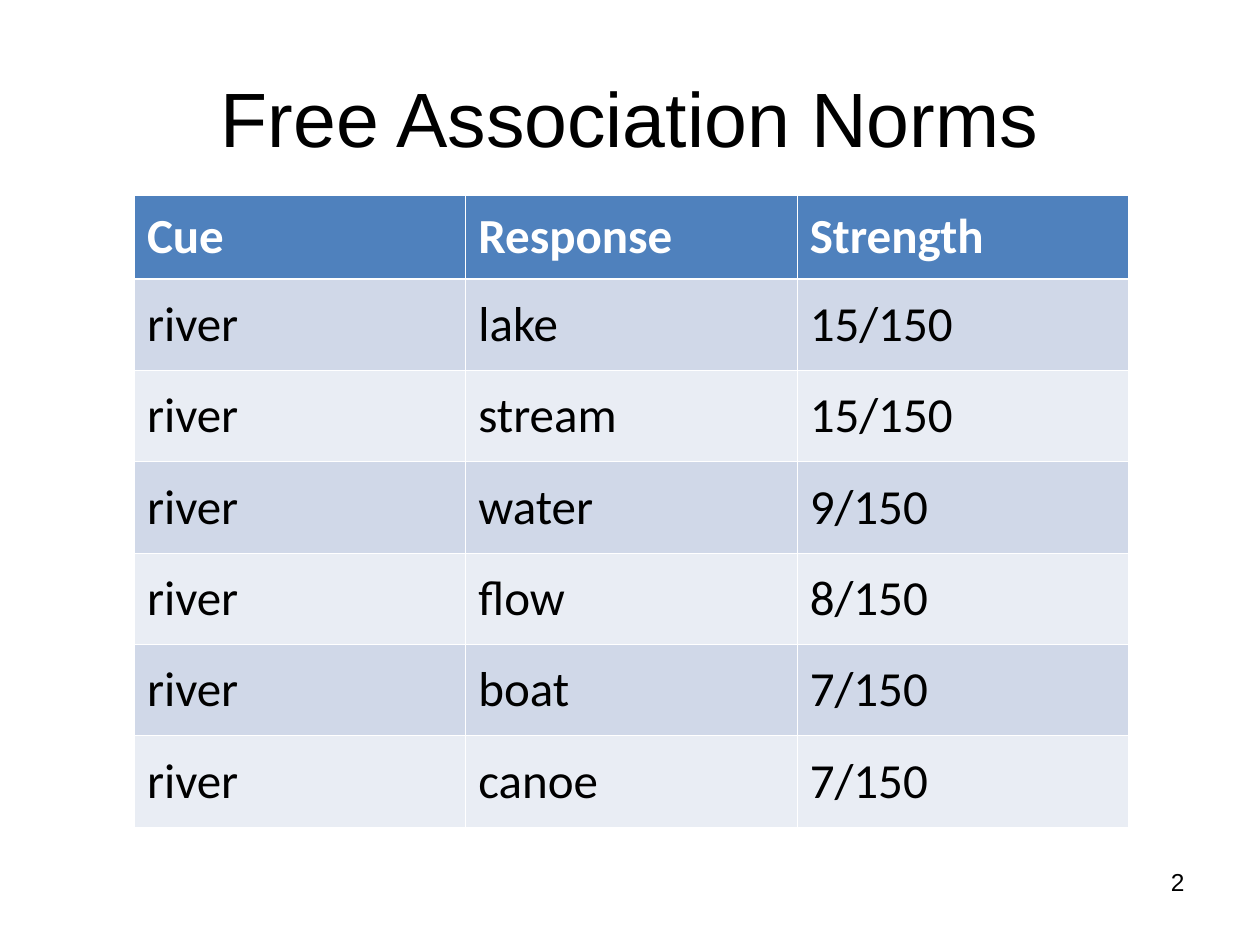
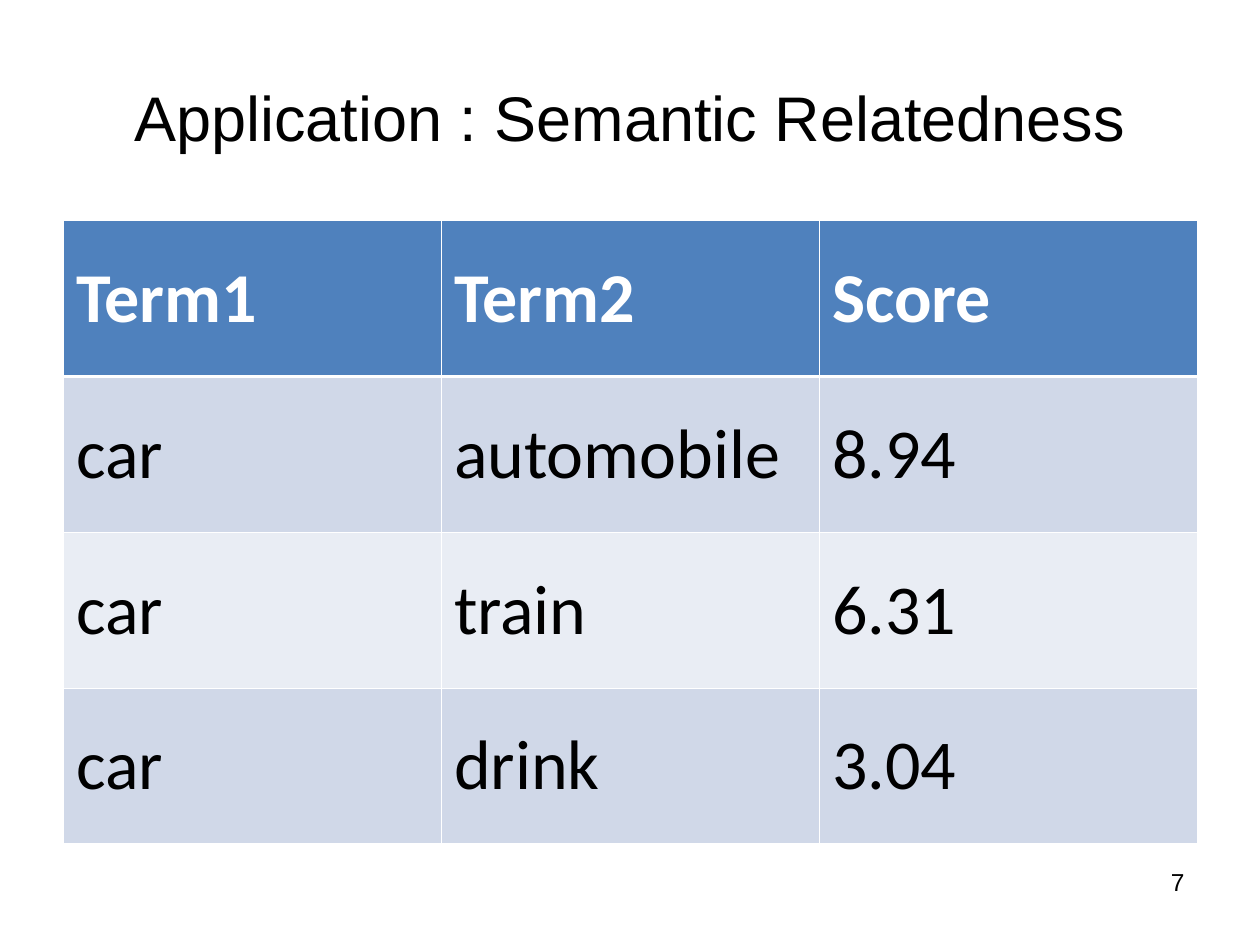
"""Build two slides, each with a title, a banded table and a page number."""
from lxml.etree import SubElement
from pptx import Presentation
from pptx.dml.color import RGBColor
from pptx.enum.text import MSO_ANCHOR, PP_ALIGN
from pptx.oxml.ns import qn
from pptx.util import Cm, Pt

BLACK, WHITE, HEAD = "000000", "FFFFFF", "4F81BD"
BANDS = ["D0D8E8", "E9EDF4"]
THIN, THICK = Pt(0.45), Pt(1.47)


def tint(code):
    return RGBColor.from_string(code)


def write(frame, text, size, font="Arial", color=BLACK, bold=False,
          align=PP_ALIGN.LEFT, before=0):
    frame.word_wrap = True
    para = frame.paragraphs[0]
    para.alignment = align
    para.space_before = Pt(before)
    run = para.add_run()
    run.text = text
    run.font.name = font
    run.font.size = Pt(size)
    run.font.bold = bold
    run.font.color.rgb = tint(color)


pages = [
    dict(
        title="Free Association Norms", size=44, number="2",
        left=2.71, top=3.93, width=6.68, first=1.7, height=1.84,
        text=28, before=7,
        rows=[
            ("Cue", "Response", "Strength"),
            ("river", "lake", "15/150"),
            ("river", "stream", "15/150"),
            ("river", "water", "9/150"),
            ("river", "flow", "8/150"),
            ("river", "boat", "7/150"),
            ("river", "canoe", "7/150"),
        ],
    ),
    dict(
        title="Application : Semantic Relatedness", size=36, number="7",
        left=1.28, top=4.45, width=7.62, first=3.14, height=3.14,
        text=40, before=10,
        rows=[
            ("Term1", "Term2", "Score"),
            ("car", "automobile", "8.94"),
            ("car", "train", "6.31"),
            ("car", "drink", "3.04"),
        ],
    ),
]

deck = Presentation()
deck.slide_width, deck.slide_height = Cm(25.4), Cm(19.05)

for page in pages:
    slide = deck.slides.add_slide(deck.slide_layouts[6])

    title = slide.shapes.add_textbox(Cm(1.27), Cm(0.76), Cm(22.86), Cm(3.18))
    title.text_frame.vertical_anchor = MSO_ANCHOR.MIDDLE
    write(title.text_frame, page["title"], page["size"], align=PP_ALIGN.CENTER)

    rows = page["rows"]
    count = len(rows[0])
    total = page["first"] + page["height"] * (len(rows) - 1)
    table = slide.shapes.add_table(
        len(rows), count, Cm(page["left"]), Cm(page["top"]),
        Cm(page["width"] * count), Cm(total)).table
    for col in table.columns:
        col.width = Cm(page["width"])

    for r, row in enumerate(rows):
        table.rows[r].height = Cm(page["height"] if r else page["first"])
        edges = {"lnL": THIN, "lnR": THIN,
                 "lnT": THICK if r == 1 else THIN,
                 "lnB": THICK if r == 0 else THIN}
        for c, word in enumerate(row):
            cell = table.cell(r, c)
            cell.vertical_anchor = MSO_ANCHOR.MIDDLE
            props = cell._tc.get_or_add_tcPr()
            for edge, weight in edges.items():
                line = SubElement(props, qn("a:" + edge), w=str(weight))
                fill = SubElement(line, qn("a:solidFill"))
                SubElement(fill, qn("a:srgbClr"), val=WHITE)
            cell.fill.solid()
            cell.fill.fore_color.rgb = tint(BANDS[(r - 1) % 2] if r else HEAD)
            write(cell.text_frame, word, page["text"], font="Calibri",
                  color=BLACK if r else WHITE, bold=r == 0,
                  before=page["before"])

    number = slide.shapes.add_textbox(Cm(18.2), Cm(17.35), Cm(5.93), Cm(1.32))
    write(number.text_frame, page["number"], 14, align=PP_ALIGN.RIGHT)

deck.save("out.pptx")
